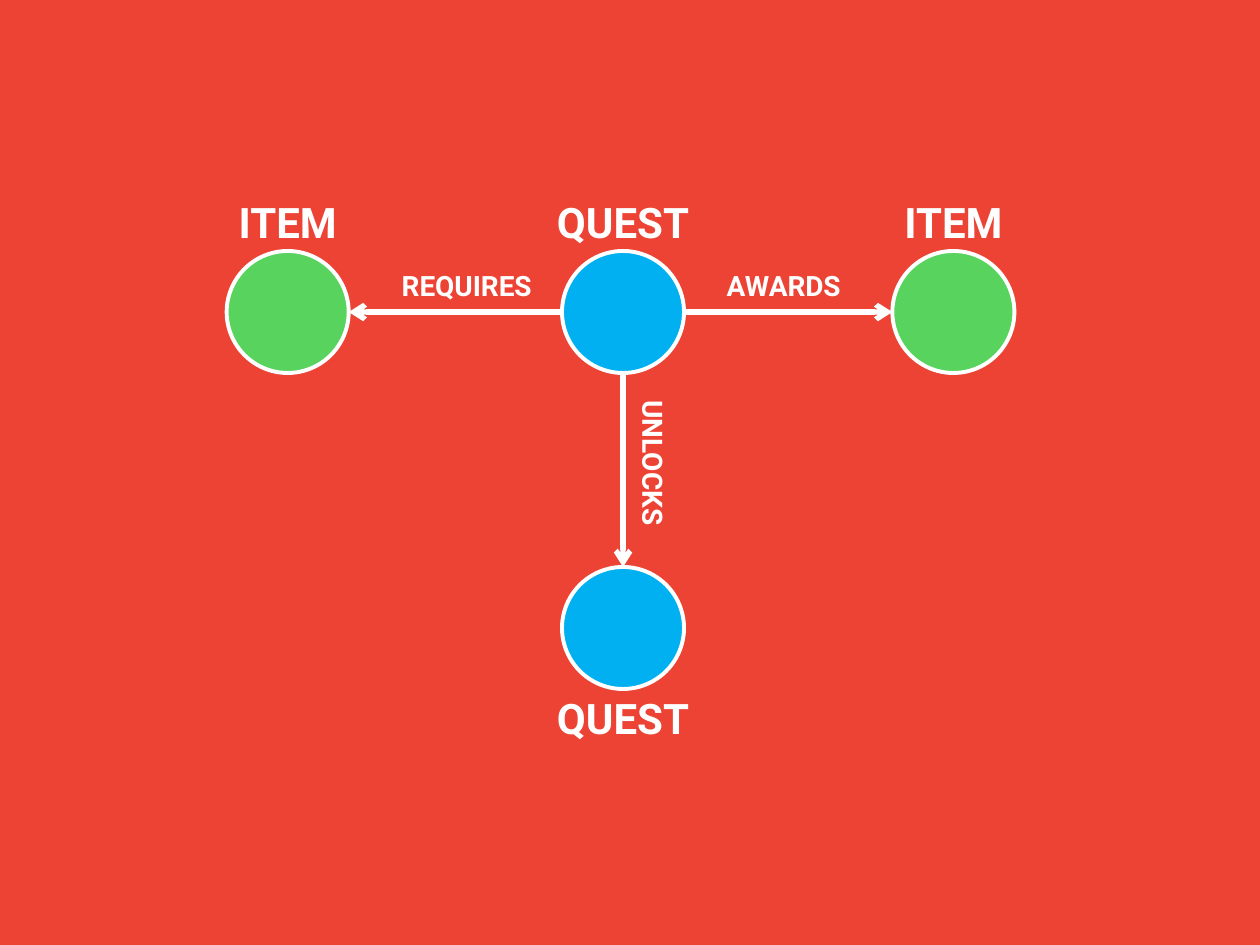
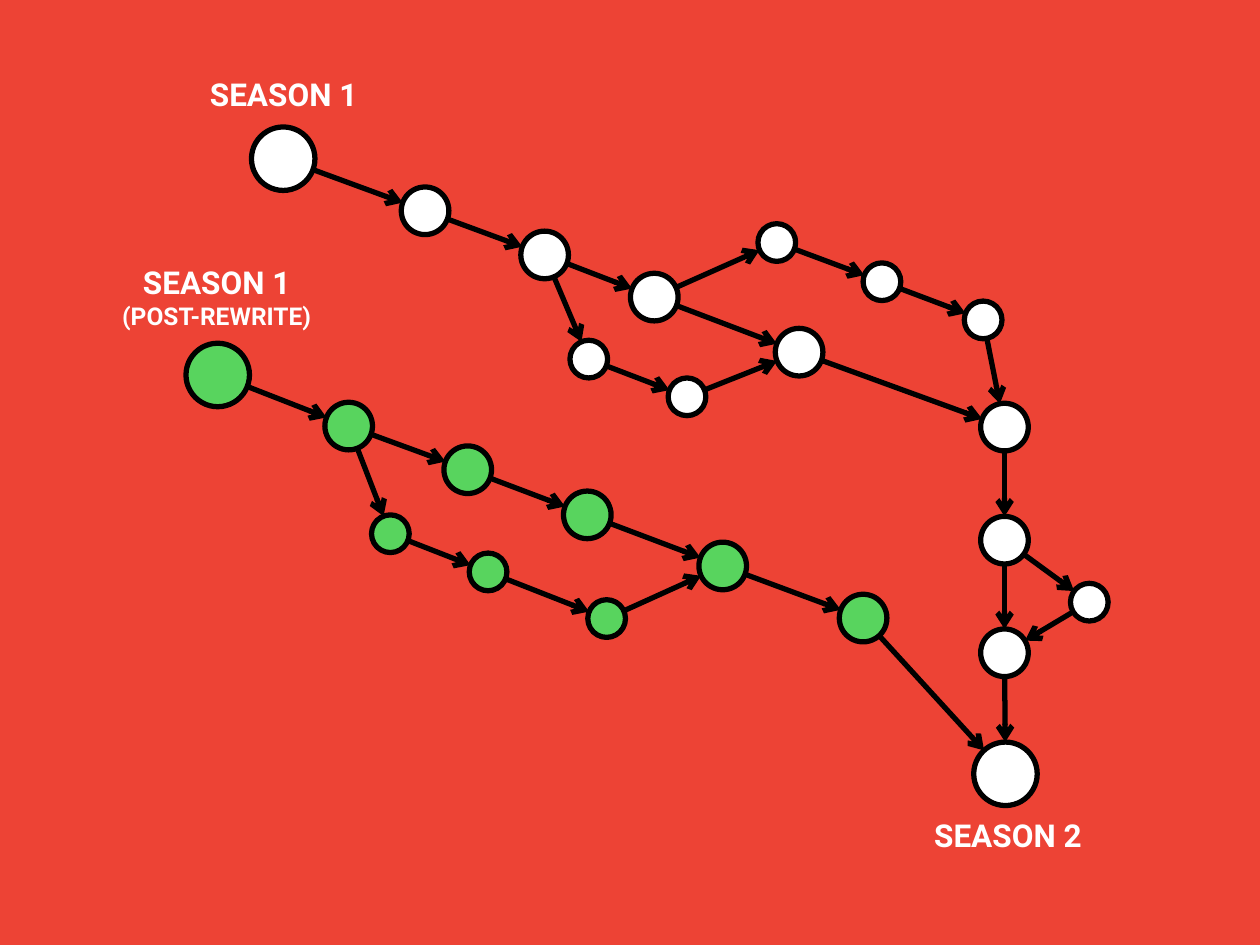
import math
from lxml import etree
from pptx import Presentation
from pptx import util as u
from pptx.dml import color
from pptx.enum import shapes, text
from pptx.oxml import ns

RED, WHITE, BLACK = "ED4335", "FFFFFF", "000000"
GREEN, BLUE = "58D45E", "00B0F0"
FONT = "Roboto"
BIG, MID, SMALL = 0.64, 0.48, 0.38


def paint(fill, tone):
    """Fill with one solid colour."""
    fill.solid()
    fill.fore_color.rgb = color.RGBColor.from_string(tone)


def page(deck):
    """Add a blank slide on the red ground."""
    slide = deck.slides.add_slide(deck.slide_layouts[6])
    paint(slide.background.fill, RED)
    return slide


def label(host, x, y, wide, rows, turn=0):
    """Centre rows of (words, size) on a point."""
    high = 0.25 + sum(size for _, size in rows) * 0.043
    box = host.shapes.add_textbox(
        u.Cm(x - wide / 2), u.Cm(y - high / 2), u.Cm(wide), u.Cm(high))
    box.rotation = turn
    frame = box.text_frame
    frame.word_wrap = False
    frame.auto_size = text.MSO_AUTO_SIZE.SHAPE_TO_FIT_TEXT
    for n, (words, size) in enumerate(rows):
        para = frame.add_paragraph() if n else frame.paragraphs[0]
        para.alignment = text.PP_ALIGN.CENTER
        run = para.add_run()
        run.text = words
        run.font.name, run.font.size, run.font.bold = FONT, u.Pt(size), True
        run.font.color.rgb = color.RGBColor.from_string(WHITE)


def disc(host, x, y, rad, tone, rim, width):
    """Draw a rimmed circle around a point."""
    dot = host.shapes.add_shape(
        shapes.MSO_SHAPE.OVAL, u.Cm(x - rad), u.Cm(y - rad),
        u.Cm(2 * rad), u.Cm(2 * rad))
    dot.shadow.inherit = False
    paint(dot.fill, tone)
    paint(dot.line.fill, rim)
    dot.line.width = u.Pt(width)


def link(host, start, end, tone):
    """Run an arrow from the rim of one (x, y, radius) circle to another."""
    (ax, ay, ar), (bx, by, br) = start, end
    span = math.hypot(bx - ax, by - ay)
    dx, dy = (bx - ax) / span, (by - ay) / span
    line = host.shapes.add_connector(
        shapes.MSO_CONNECTOR.STRAIGHT,
        u.Cm(ax + dx * ar), u.Cm(ay + dy * ar),
        u.Cm(bx - dx * br), u.Cm(by - dy * br))
    paint(line.line.fill, tone)
    line.line.width = u.Pt(3)
    etree.SubElement(line.line._ln, ns.qn("a:tailEnd"), type="arrow")
    etree.SubElement(line._element.spPr, ns.qn("a:effectLst"))


def quests(slide, x, y):
    """Draw a quest and its three relations around a centre point."""
    rad, lift = 1.23, 1.82
    hub = (x, y, rad)
    spokes = [
        ("ITEM", GREEN, -6.76, 0, -lift, "REQUIRES", -3.15, -0.54, 0),
        ("ITEM", GREEN, 6.66, 0, -lift, "AWARDS", 3.24, -0.54, 0),
        ("QUEST", BLUE, 0, 6.37, lift, "UNLOCKS", 0.61, 3.04, 90),
    ]
    nodes = [("QUEST", BLUE, x, y, -lift)]
    for name, tone, dx, dy, shift, verb, vx, vy, turn in spokes:
        nodes.append((name, tone, x + dx, y + dy, shift))
        link(slide, hub, (x + dx, y + dy, rad), WHITE)
        label(slide, x + vx, y + vy, 3.4, [(verb, 16)], turn)
    for name, tone, cx, cy, shift in nodes:
        group = slide.shapes.add_group_shape()
        disc(group, cx, cy, rad, tone, WHITE, 2.25)
        label(group, cx, cy + shift, 3.4, [(name, 24)])


def seasons(slide, left, top):
    """Draw both story graphs from a top left corner."""
    old = {
        "start": (2.71, 1.2, BIG), "a": (5.57, 2.25, MID),
        "b": (7.98, 3.14, MID), "c": (10.19, 3.99, MID),
        "up1": (12.66, 2.89, SMALL), "up2": (14.78, 3.68, SMALL),
        "up3": (16.82, 4.45, SMALL), "low1": (8.87, 5.24, SMALL),
        "low2": (10.85, 6, SMALL), "join": (13.11, 5.1, MID),
        "d": (17.25, 6.61, MID), "e": (17.25, 8.89, MID),
        "side": (18.96, 10.14, SMALL), "f": (17.25, 11.16, MID),
        "end": (17.27, 13.6, BIG),
    }
    new = {
        "START": (1.39, 5.56, BIG), "A": (4.03, 6.59, MID),
        "B": (6.43, 7.47, MID), "C": (8.84, 8.38, MID),
        "LOW1": (4.87, 8.76, SMALL), "LOW2": (6.84, 9.53, SMALL),
        "LOW3": (9.23, 10.47, SMALL), "JOIN": (11.57, 9.41, MID),
        "D": (14.4, 10.46, MID),
    }
    routes = [
        "start a b c join d e f end", "b low1 low2 join",
        "c up1 up2 up3 d", "e side f",
        "START A B C JOIN D end", "A LOW1 LOW2 LOW3 JOIN",
    ]
    spots = {key: (left + x, top + y, rad)
             for key, (x, y, rad) in {**old, **new}.items()}
    for route in routes:
        stops = route.split()
        for start, end in zip(stops, stops[1:]):
            link(slide, spots[start], spots[end], BLACK)
    for key, spot in spots.items():
        disc(slide, *spot, GREEN if key in new else WHITE, BLACK, 3)
    label(slide, left + 2.72, top - 0.1, 3.76, [("SEASON 1", 18)])
    label(slide, left + 1.37, top + 3.99, 4.78,
          [("SEASON 1", 18), ("(POST-REWRITE)", 14)])
    label(slide, left + 17.32, top + 14.84, 3.76, [("SEASON 2", 18)])


def main():
    """Build and save the deck."""
    deck = Presentation()
    deck.slide_width, deck.slide_height = u.Cm(25.4), u.Cm(19.05)
    quests(page(deck), 12.56, 6.29)
    seasons(page(deck), 3, 2)
    deck.save("out.pptx")


if __name__ == "__main__":
    main()
